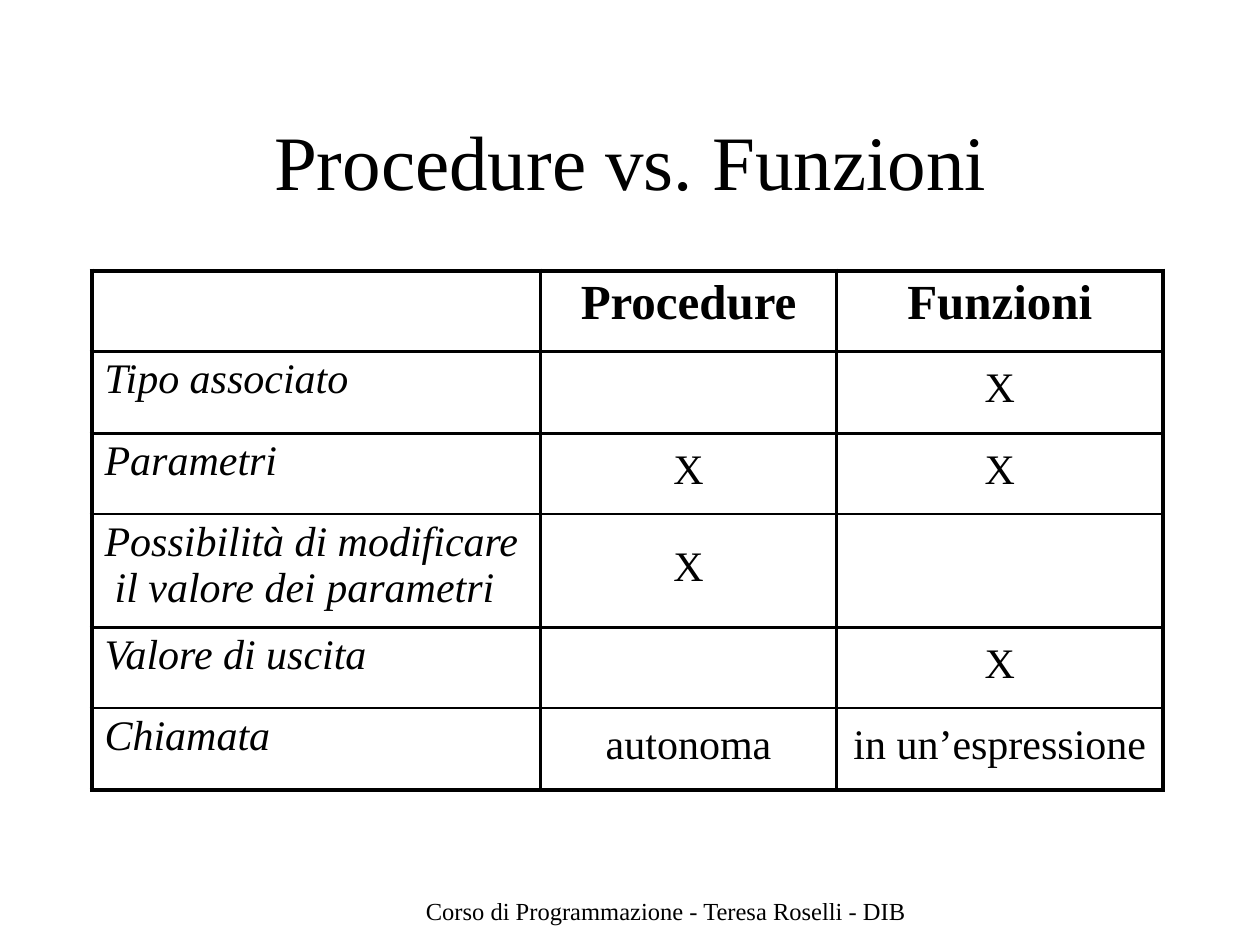
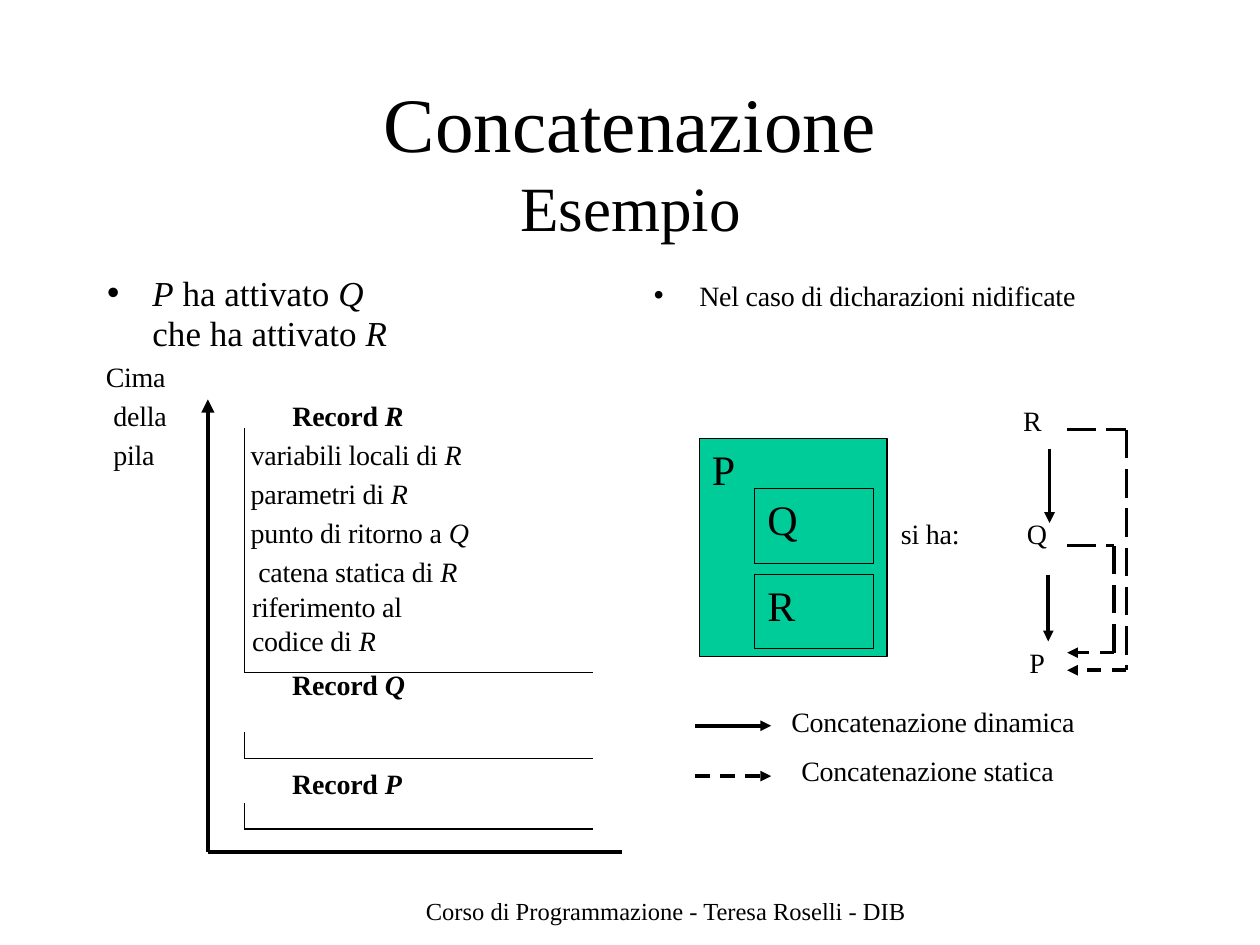
from dataclasses import dataclass

from lxml import etree
from pptx import Presentation
from pptx.dml.color import RGBColor
from pptx.enum.dml import MSO_LINE
from pptx.enum.shapes import MSO_CONNECTOR, MSO_SHAPE
from pptx.enum.text import MSO_ANCHOR, MSO_AUTO_SIZE, PP_ALIGN
from pptx.oxml.ns import qn
from pptx.util import Inches, Pt

STRAIGHT = MSO_CONNECTOR.STRAIGHT
RECTANGLE = MSO_SHAPE.RECTANGLE
DASH, LONG_DASH = MSO_LINE.DASH, MSO_LINE.LONG_DASH
LEFT, CENTER = PP_ALIGN.LEFT, PP_ALIGN.CENTER
TITLE_ONLY, TWO_CONTENT = 5, 3


@dataclass(frozen=True)
class Theme:
    font: str = "Times New Roman"
    ink: RGBColor = RGBColor(0, 0, 0)
    block: RGBColor = RGBColor(0x00, 0xCC, 0x99)
    title: float = 44
    subtitle: float = 36
    header: float = 28
    cell: float = 24
    lead: float = 20
    label: float = 16
    footer: float = 14
    hairline: float = 0.72
    link: float = 2.04
    axis: float = 2.52
    frame: float = 3
    rule: float = 1.5


THEME = Theme()
FRAME_FORMAT = {
    "margin_left": 0,
    "margin_top": Inches(0.01),
    "margin_right": 0,
    "margin_bottom": 0,
    "word_wrap": True,
    "auto_size": MSO_AUTO_SIZE.NONE,
    "vertical_anchor": MSO_ANCHOR.TOP,
}


@dataclass(frozen=True)
class Box:
    left: float
    top: float
    width: float
    height: float

    def lengths(self) -> list:
        return [Inches(v) for v in (self.left, self.top, self.width, self.height)]


@dataclass(frozen=True)
class Line:
    """One paragraph; *asterisks* enclose italic words."""
    text: str
    size: float = THEME.label
    bold: bool = False
    align: PP_ALIGN = LEFT
    indent: float = 0.01
    bullet: bool = False
    pitch: float = 0
    before: float = 0


@dataclass(frozen=True)
class Label:
    text: str
    box: Box
    bold: bool = False


@dataclass(frozen=True)
class Stroke:
    start: tuple
    end: tuple
    width: float = THEME.link
    dash: MSO_LINE | None = None
    arrow: bool = False


@dataclass(frozen=True)
class Block:
    name: str
    box: Box
    fill: RGBColor | None = None


def apply_format(target, values: dict) -> None:
    for attribute, value in values.items():
        setattr(target, attribute, value)


def write(frame, lines: list) -> None:
    for number, line in enumerate(lines):
        paragraph = frame.add_paragraph() if number else frame.paragraphs[0]
        apply_format(paragraph, {
            "alignment": line.align,
            "space_before": Pt(line.before),
            "line_spacing": Pt(line.pitch) if line.pitch else 1.0,
        })
        properties = paragraph._p.get_or_add_pPr()
        properties.set("marL", str(Inches(line.indent)))
        properties.set("indent", str(Inches(-0.36 if line.bullet else 0)))
        if line.bullet:
            etree.SubElement(properties, qn("a:buChar")).set("char", "•")
        else:
            etree.SubElement(properties, qn("a:buNone"))
        for part, words in enumerate(line.text.split("*")):
            if not words:
                continue
            run = paragraph.add_run()
            run.text = words
            apply_format(run.font, {
                "name": THEME.font, "size": Pt(line.size),
                "bold": line.bold, "italic": part % 2 == 1,
            })
            run.font.color.rgb = THEME.ink
            if line.size == THEME.label:
                run._r.get_or_add_rPr().set("spc", "-10")


def add_text(slide, box: Box, lines: list) -> None:
    frame = slide.shapes.add_textbox(*box.lengths()).text_frame
    apply_format(frame, FRAME_FORMAT)
    write(frame, lines)


def fill_placeholder(placeholder, box: Box, lines: list) -> None:
    apply_format(placeholder, dict(zip(("left", "top", "width", "height"), box.lengths())))
    apply_format(placeholder.text_frame, FRAME_FORMAT)
    write(placeholder.text_frame, lines)


def add_stroke(slide, stroke: Stroke) -> None:
    ends = [Inches(v) for v in (*stroke.start, *stroke.end)]
    connector = slide.shapes.add_connector(STRAIGHT, *ends)
    connector.line.color.rgb = THEME.ink
    connector.line.width = Pt(stroke.width)
    if stroke.dash is not None:
        connector.line.dash_style = stroke.dash
    if stroke.arrow:
        etree.SubElement(connector.line._get_or_add_ln(), qn("a:tailEnd")).set("type", "triangle")
    etree.SubElement(connector._element.spPr, qn("a:effectLst"))


def add_block(slide, block: Block) -> None:
    shape = slide.shapes.add_shape(RECTANGLE, *block.box.lengths())
    shape.shadow.inherit = False
    if block.fill is None:
        shape.fill.background()
    else:
        shape.fill.solid()
        shape.fill.fore_color.rgb = block.fill
    shape.line.color.rgb = THEME.ink
    shape.line.width = Pt(THEME.hairline)
    apply_format(shape.text_frame, FRAME_FORMAT | {"margin_top": Inches(0.04)})
    write(shape.text_frame, [Line(block.name, THEME.cell, indent=0.1, before=2.9)])


def set_borders(cell, widths: dict) -> None:
    properties = cell._tc.get_or_add_tcPr()
    for place, (side, width) in enumerate(widths.items()):
        border = etree.Element(qn(f"a:{side}"), w=str(Pt(width)))
        solid = etree.SubElement(border, qn("a:solidFill"))
        etree.SubElement(solid, qn("a:srgbClr")).set("val", str(THEME.ink))
        properties.insert(place, border)


def start_slide(deck, layout: int, title: str, title_box: Box):
    slide = deck.slides.add_slide(deck.slide_layouts[layout])
    fill_placeholder(slide.shapes.title, title_box, [Line(title, THEME.title, align=CENTER)])
    add_text(slide, Box(3.37, 7.11, 3.9, 0.24),
             [Line("Corso di Programmazione - Teresa Roselli - DIB", THEME.footer, pitch=16.3)])
    return slide


# Comparison table: (row label lines, procedures, functions, top margin of the marks)
COMPARISON = [
    ([], "Procedure", "Funzioni", 0.04),
    (["Tipo associato"], "", "X", 0.11),
    (["Parametri"], "X", "X", 0.11),
    (["Possibilità di modificare", "il valore dei parametri"], "X", "", 0.24),
    (["Valore di uscita"], "", "X", 0.11),
    (["Chiamata"], "autonoma", "in un’espressione", 0.11),
]
COLUMN_WIDTHS = [3.56, 2.35, 2.59]
ROW_HEIGHTS = [0.64, 0.65, 0.64, 0.9, 0.64, 0.65]


def build_comparison(deck) -> None:
    slide = start_slide(deck, TITLE_ONLY, "Procedure vs. Funzioni", Box(2.16, 0.89, 5.68, 0.76))
    last_row, last_column = len(ROW_HEIGHTS) - 1, len(COLUMN_WIDTHS) - 1
    area = Box(0.73, 2.15, sum(COLUMN_WIDTHS), sum(ROW_HEIGHTS))
    table = slide.shapes.add_table(last_row + 1, last_column + 1, *area.lengths()).table
    apply_format(table, {"first_row": False, "horz_banding": False})
    for column, width in zip(table.columns, COLUMN_WIDTHS):
        column.width = Inches(width)

    for r, (feature, procedures, functions, mark_top) in enumerate(COMPARISON):
        table.rows[r].height = Inches(ROW_HEIGHTS[r])
        size = THEME.cell if r else THEME.header
        labels = [Line(f"*{text}*", size, indent=0.18 if n else 0.1)
                  for n, text in enumerate(feature)]
        marks = [[Line(text, size, bold=r == 0, align=CENTER, indent=0)] if text else []
                 for text in (procedures, functions)]
        for c, lines in enumerate([labels, *marks]):
            cell = table.cell(r, c)
            apply_format(cell, {
                "margin_left": 0, "margin_right": 0, "margin_bottom": 0,
                "margin_top": Inches(mark_top if c else 0.04),
                "vertical_anchor": MSO_ANCHOR.TOP,
            })
            write(cell.text_frame, lines)
            cell.fill.background()
            on_edge = {"lnL": c == 0, "lnR": c == last_column,
                       "lnT": r == 0, "lnB": r == last_row}
            set_borders(cell, {side: THEME.frame if edge else THEME.rule
                               for side, edge in on_edge.items()})


# Activation stack: top and bottom of each record's bracket
RECORD_SPANS = [(3.4, 5.34), (5.81, 6.02), (6.37, 6.58)]
RECORD_LEFT, RECORD_RIGHT = 1.94, 4.71
STACK_FOOT = (1.65, 6.76)
PITCH = 22.3

TOP_OF_STACK = [Line("Cima", pitch=PITCH)] + [
    Line(text, indent=0.07, pitch=PITCH) for text in ("della", "pila")]
RECORD_R = [
    Line("Record *R*", bold=True, indent=0.34, pitch=PITCH),
    Line("variabili locali di *R*", pitch=PITCH),
    Line("parametri di *R*", pitch=PITCH),
    Line("punto di ritorno a *Q*", pitch=PITCH),
    Line("catena statica di *R*", indent=0.07, pitch=PITCH),
    Line("riferimento al", indent=0.02, pitch=19.4, before=0.6),
    Line("codice di *R*", indent=0.02, pitch=19.4),
]
LABELS = [
    Label("Record *Q*", Box(2.31, 5.29, 1, 0.29), bold=True),
    Label("Record *P*", Box(2.31, 6.07, 1, 0.29), bold=True),
    Label("R", Box(8.11, 3.19, 0.18, 0.29)),
    Label("Q", Box(8.14, 4.09, 0.19, 0.29)),
    Label("P", Box(8.16, 5.11, 0.15, 0.29)),
    Label("si ha:", Box(7.14, 4.09, 0.5, 0.29)),
    Label("Concatenazione dinamica", Box(6.27, 5.58, 2.31, 0.29)),
    Label("Concatenazione statica", Box(6.35, 5.97, 2.07, 0.29)),
]
NESTED_BLOCKS = [
    Block("P", Box(5.55, 3.48, 1.49, 1.73), THEME.block),
    Block("Q", Box(5.99, 3.88, 0.94, 0.59)),
    Block("R", Box(5.99, 4.56, 0.94, 0.59)),
]
DYNAMIC_LINKS = [
    Stroke((8.33, 3.56), (8.33, 4.15), arrow=True),
    Stroke((8.32, 4.56), (8.32, 5.09), arrow=True),
    Stroke((5.52, 5.76), (6.12, 5.76), arrow=True),
]
STATIC_KEY = Stroke((5.52, 6.16), (6.12, 6.16), dash=DASH, arrow=True)
# Static links: start height, outer edge, end height
STATIC_LINKS = [(3.41, 8.94, 5.32), (4.33, 8.84, 5.18)]
LINK_LEFT = 8.47


def build_chaining(deck) -> None:
    slide = start_slide(deck, TWO_CONTENT, "Concatenazione", Box(3.03, 0.59, 3.93, 0.76))
    add_text(slide, Box(4.11, 1.33, 1.78, 0.63),
             [Line("Esempio", THEME.subtitle, align=CENTER)])

    # Opening bullets
    _, activation, nesting = slide.placeholders
    fill_placeholder(activation, Box(0.83, 2.16, 2.25, 0.66), [
        Line("*P* ha attivato *Q*", THEME.lead, indent=0.38, bullet=True, pitch=22.8),
        Line("che ha attivato *R*", THEME.lead, indent=0.38, pitch=22.8),
    ])
    fill_placeholder(nesting, Box(5.17, 2.2, 3.5, 0.29), [
        Line("Nel caso di dicharazioni nidificate", indent=0.38, bullet=True, before=0.9),
    ])

    # Stack of records
    add_text(slide, Box(0.83, 2.8, 0.6, 0.96), TOP_OF_STACK)
    add_text(slide, Box(1.98, 3.11, 2.31, 2.15), RECORD_R)
    for top, bottom in RECORD_SPANS:
        corner = (RECORD_LEFT, bottom)
        for end in ((RECORD_LEFT, top), (RECORD_RIGHT, bottom)):
            add_stroke(slide, Stroke(corner, end, THEME.hairline))
    add_stroke(slide, Stroke(STACK_FOOT, (1.65, 3.17), THEME.axis, arrow=True))
    add_stroke(slide, Stroke(STACK_FOOT, (4.94, 6.76), THEME.axis))

    # Nested declarations, links and key
    for block in NESTED_BLOCKS:
        add_block(slide, block)
    for stroke in [*DYNAMIC_LINKS, STATIC_KEY]:
        add_stroke(slide, stroke)
    for top, edge, bottom in STATIC_LINKS:
        add_stroke(slide, Stroke((LINK_LEFT, top), (edge, top), dash=LONG_DASH))
        add_stroke(slide, Stroke((edge, top), (edge, bottom), dash=LONG_DASH))
        add_stroke(slide, Stroke((edge, bottom), (LINK_LEFT, bottom), dash=DASH, arrow=True))
    for label in LABELS:
        add_text(slide, label.box, [Line(label.text, bold=label.bold, before=0.9)])


def main() -> None:
    deck = Presentation()
    deck.slide_width, deck.slide_height = Inches(10), Inches(7.5)
    build_comparison(deck)
    build_chaining(deck)
    deck.save("out.pptx")


if __name__ == "__main__":
    main()
